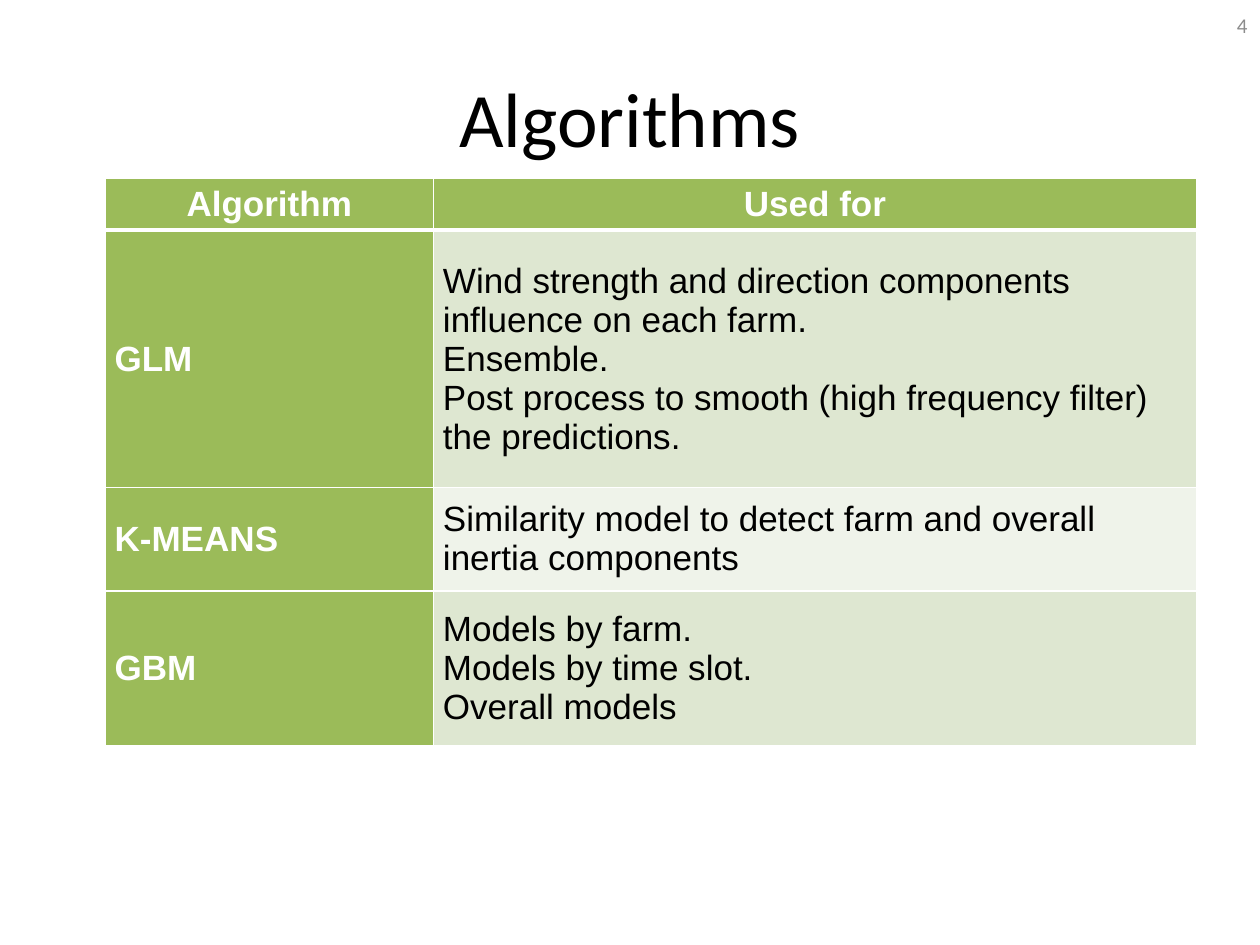
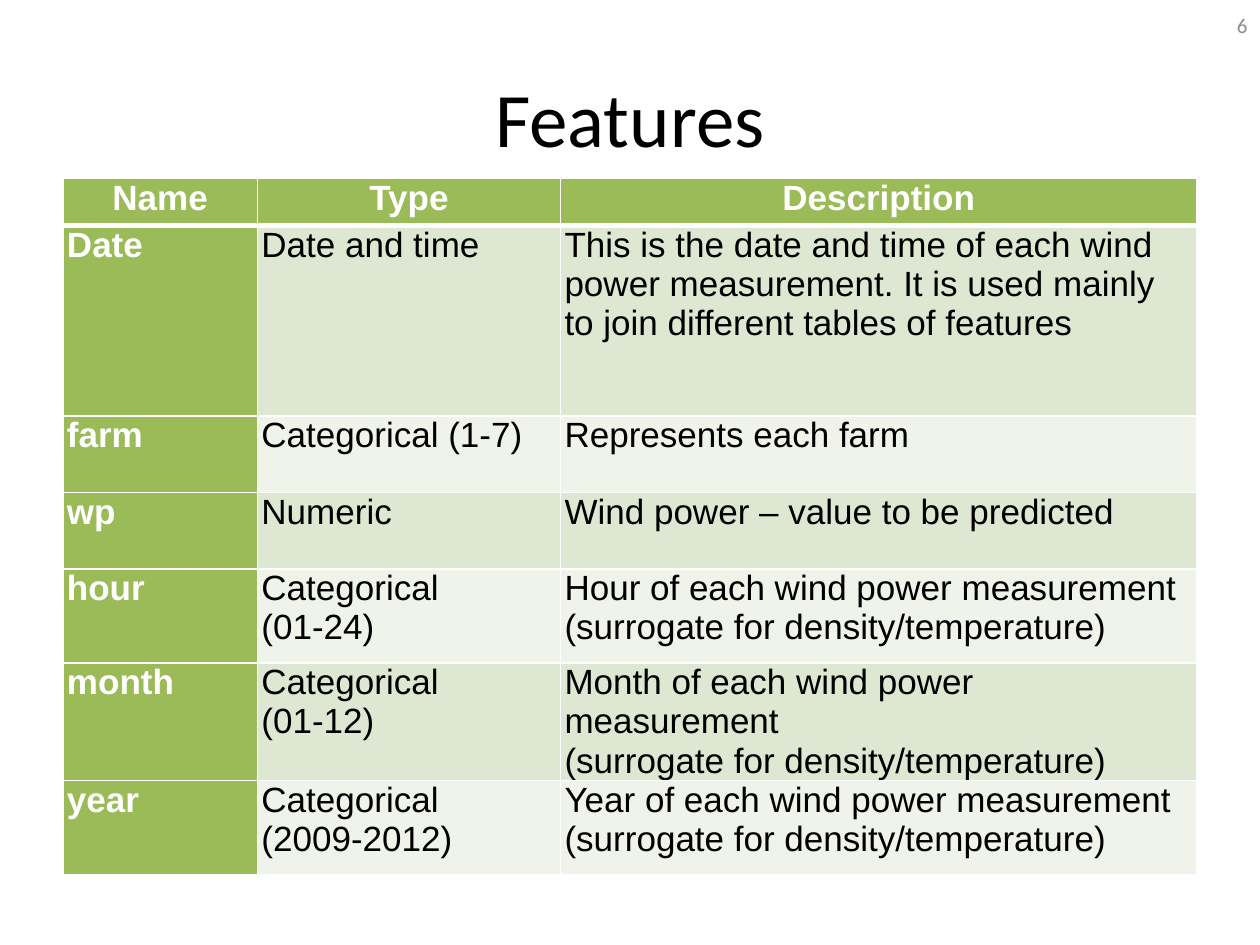
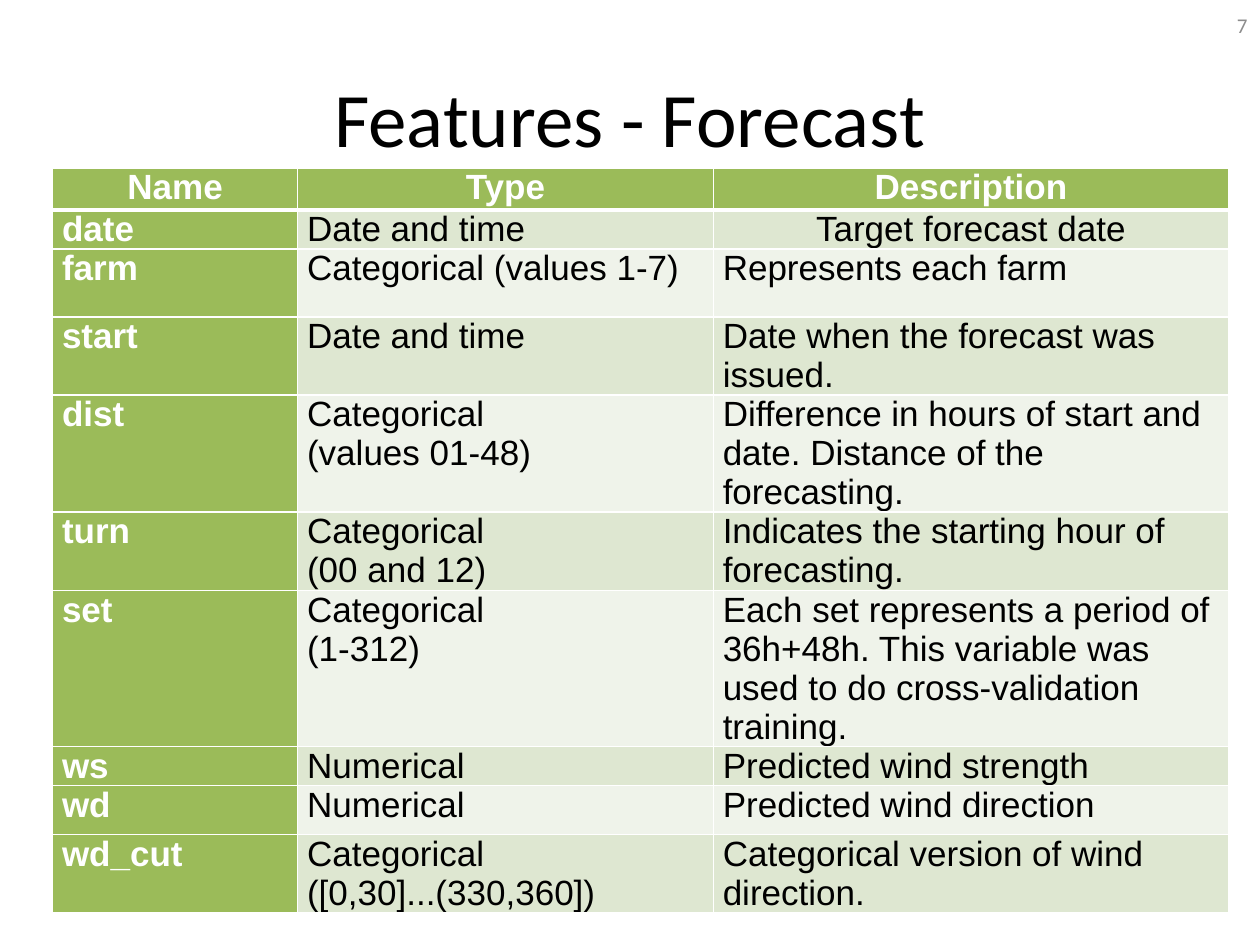
from dataclasses import dataclass

from lxml import etree
from pptx import Presentation
from pptx import util as u
from pptx.dml.color import RGBColor
from pptx.enum import text
from pptx.oxml import ns

COLORS = {
    "white": "FFFFFF",
    "black": "000000",
    "grey": "8C8C8C",
    "green": "9BBB59",
    "band_dark": "DEE7D1",
    "band_light": "EFF3EA",
}
BODY_FONT, TITLE_FONT = "Arial", "Calibri"
TABLE_LINE = 22.3  # line pitch of table text, in points
LEFT, CENTER, RIGHT = text.PP_ALIGN.LEFT, text.PP_ALIGN.CENTER, text.PP_ALIGN.RIGHT
TOP, MIDDLE = text.MSO_ANCHOR.TOP, text.MSO_ANCHOR.MIDDLE


@dataclass(frozen=True)
class TextStyle:
    font: str
    size: int
    color: str
    bold: bool = False
    align: text.PP_ALIGN = LEFT
    line: float | None = None


TITLE = TextStyle(TITLE_FONT, 44, "black", align=CENTER)
PAGE_NUMBER = TextStyle(TITLE_FONT, 12, "grey", align=RIGHT)
HEADER = TextStyle(BODY_FONT, 20, "white", bold=True, align=CENTER, line=TABLE_LINE)
ROW_NAME = TextStyle(BODY_FONT, 20, "white", bold=True, line=TABLE_LINE)
BODY = TextStyle(BODY_FONT, 20, "black", line=TABLE_LINE)
BODY_CENTERED = TextStyle(BODY_FONT, 20, "black", align=CENTER, line=TABLE_LINE)


@dataclass(frozen=True)
class TablePage:
    """One slide: a title, a page number and a table, with lengths in cm."""
    title: str
    number: int
    left: float
    top: float
    widths: tuple[float, ...]
    heights: tuple[float, ...]
    rows: tuple[tuple[str, ...], ...]
    inset: float = 0.19
    anchor: text.MSO_ANCHOR = TOP
    centered: tuple[tuple[int, int], ...] = ()


def write(frame, content: str, style: TextStyle) -> None:
    """Fill a text frame, one paragraph for each line of content."""
    for index, line in enumerate(content.split("\n")):
        para = frame.add_paragraph() if index else frame.paragraphs[0]
        para.alignment = style.align
        if style.line:
            para.line_spacing = u.Pt(style.line)
        span = para.add_run()
        span.text = line
        span.font.name = style.font
        span.font.size = u.Pt(style.size)
        span.font.bold = style.bold
        span.font.color.rgb = RGBColor.from_string(COLORS[style.color])


def add_label(page, left: float, top: float, width: float, height: float,
              content: str, style: TextStyle) -> None:
    box = page.shapes.add_textbox(u.Cm(left), u.Cm(top), u.Cm(width), u.Cm(height))
    box.text_frame.word_wrap = True
    box.text_frame.vertical_anchor = MIDDLE
    write(box.text_frame, content, style)


def add_borders(cell, row: int) -> None:
    """Draw thin white borders, and a thick one under the header."""
    points = {"lnL": 1, "lnR": 1, "lnT": 3 if row == 1 else 1, "lnB": 3 if row == 0 else 1}
    properties = cell._tc.get_or_add_tcPr()
    for side, width in points.items():
        line = etree.SubElement(properties, ns.qn(f"a:{side}"), w=str(u.Pt(width)))
        fill = etree.SubElement(line, ns.qn("a:solidFill"))
        etree.SubElement(fill, ns.qn("a:srgbClr"), val=COLORS["white"])


def cell_look(row: int, column: int, centered: bool) -> tuple[TextStyle, str]:
    """Give the text style and the fill colour for a place in the table."""
    if row == 0:
        return HEADER, "green"
    if column == 0:
        return ROW_NAME, "green"
    return BODY_CENTERED if centered else BODY, "band_dark" if row % 2 else "band_light"


def add_grid(page, plan: TablePage) -> None:
    frame = page.shapes.add_table(
        len(plan.heights), len(plan.widths), u.Cm(plan.left), u.Cm(plan.top),
        u.Cm(sum(plan.widths)), u.Cm(sum(plan.heights)))
    table = frame.table
    table.horz_banding = False
    for column, width in zip(table.columns, plan.widths):
        column.width = u.Cm(width)
    for row, height in zip(table.rows, plan.heights):
        row.height = u.Cm(height)

    for r, contents in enumerate(plan.rows):
        for c, content in enumerate(contents):
            cell = table.cell(r, c)
            style, fill = cell_look(r, c, (r, c) in plan.centered)
            add_borders(cell, r)
            cell.fill.solid()
            cell.fill.fore_color.rgb = RGBColor.from_string(COLORS[fill])
            cell.vertical_anchor = plan.anchor
            cell.margin_left = cell.margin_right = u.Cm(plan.inset)
            cell.margin_top = cell.margin_bottom = 0
            write(cell.text_frame, content, style)


def add_page(deck, plan: TablePage) -> None:
    page = deck.slides.add_slide(deck.slide_layouts[6])
    add_label(page, 1.27, 0.76, 22.86, 3.18, plan.title, TITLE)
    add_label(page, 19.48, 0, 5.92, 1.02, str(plan.number), PAGE_NUMBER)
    add_grid(page, plan)


# Contents of the slides
FEATURE_HEADER = ("Name", "Type", "Description")
SURROGATE = "(surrogate for density/temperature)"

PAGES = (
    TablePage(
        "Algorithms", 4, left=2.12, top=3.6, anchor=MIDDLE,
        widths=(6.62, 15.38),
        heights=(1.04, 5.19, 2.08, 3.12),
        rows=(
            ("Algorithm", "Used for"),
            ("GLM", "Wind strength and direction components influence on each farm.\n"
                    "Ensemble.\n"
                    "Post process to smooth (high frequency filter) the predictions."),
            ("K-MEANS", "Similarity model to detect farm and overall inertia components"),
            ("GBM", "Models by farm.\nModels by time slot.\nOverall models"),
        )),
    TablePage(
        "Features", 6, left=1.27, top=3.6, inset=0.08,
        widths=(3.92, 6.11, 12.83),
        heights=(0.95, 3.84, 1.54, 1.54, 1.9, 1.9, 1.9),
        rows=(
            FEATURE_HEADER,
            ("Date", "Date and time",
             "This is the date and time of each wind power measurement. "
             "It is used mainly to join different tables of features"),
            ("farm", "Categorical (1-7)", "Represents each farm"),
            ("wp", "Numeric", "Wind power – value to be predicted"),
            ("hour", "Categorical\n(01-24)",
             f"Hour of each wind power measurement {SURROGATE}"),
            ("month", "Categorical\n(01-12)",
             f"Month of each wind power measurement\n{SURROGATE}"),
            ("year", "Categorical\n(2009-2012)",
             f"Year of each wind power measurement\n{SURROGATE}"),
        )),
    TablePage(
        "Features - Forecast", 7, left=1.06, top=3.39, centered=((1, 2),),
        widths=(4.94, 8.38, 10.39),
        heights=(0.84, 0.69, 1.37, 1.37, 2.03, 1.37, 2.46, 0.69, 0.99, 1.37),
        rows=(
            FEATURE_HEADER,
            ("date", "Date and time", "Target forecast date"),
            ("farm", "Categorical (values 1-7)", "Represents each farm"),
            ("start", "Date and time", "Date when the forecast was issued."),
            ("dist", "Categorical\n(values 01-48)",
             "Difference in hours of start and date. Distance of the forecasting."),
            ("turn", "Categorical\n(00 and 12)",
             "Indicates the starting hour of forecasting."),
            ("set", "Categorical\n(1-312)",
             "Each set represents a period of 36h+48h. "
             "This variable was used to do cross-validation training."),
            ("ws", "Numerical", "Predicted wind strength"),
            ("wd", "Numerical", "Predicted wind direction"),
            ("wd_cut", "Categorical\n([0,30]...(330,360])",
             "Categorical version of wind direction."),
        )),
)


# Build the deck
deck = Presentation()
deck.slide_width, deck.slide_height = u.Cm(25.4), u.Cm(19.05)
for plan in PAGES:
    add_page(deck, plan)
deck.save("out.pptx")
